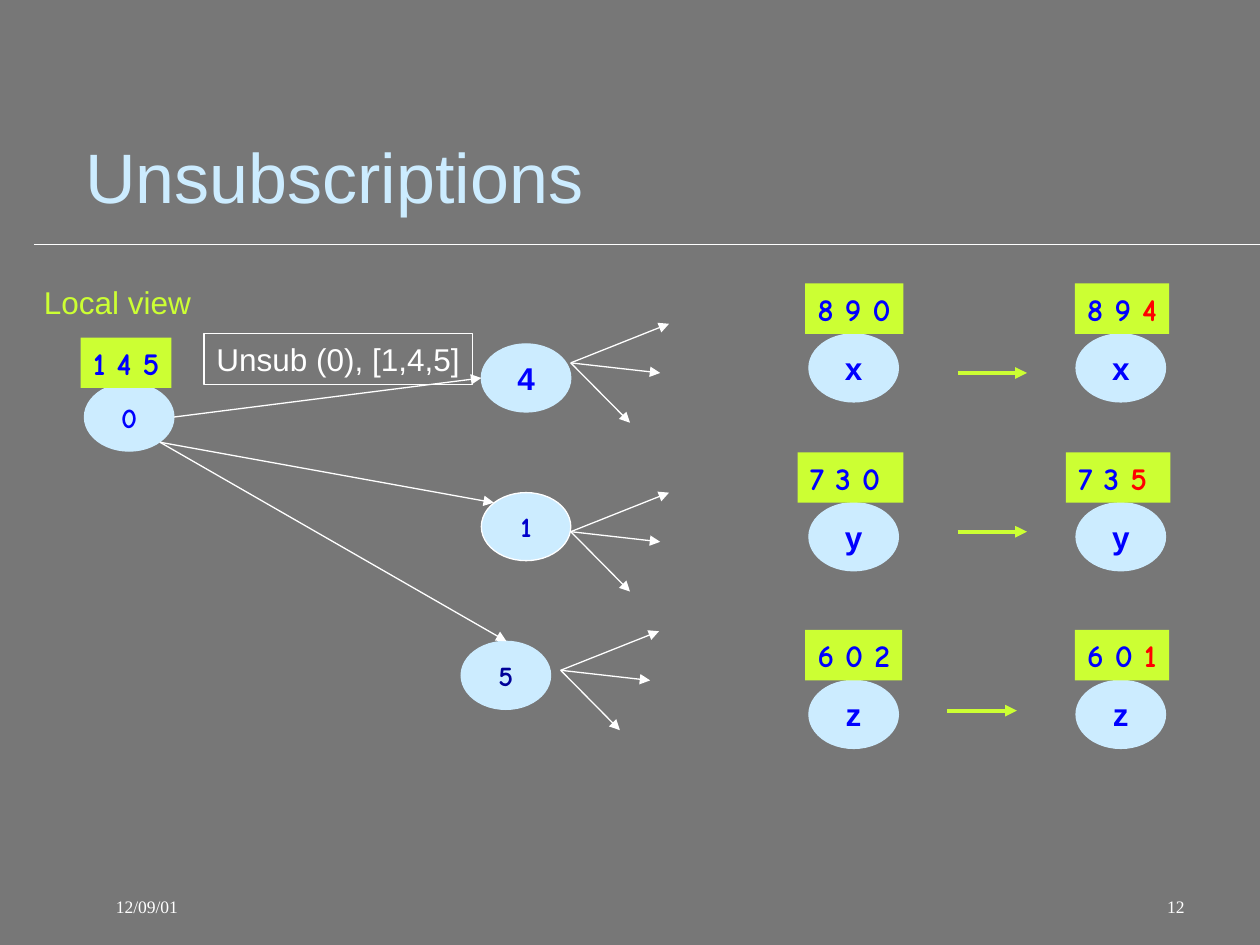
from lxml.etree import SubElement
from pptx import Presentation
from pptx.dml.color import RGBColor
from pptx.enum.shapes import MSO_CONNECTOR as Connector, MSO_SHAPE as Shape
from pptx.enum.text import MSO_ANCHOR as Anchor, PP_ALIGN as Align
from pptx.oxml.ns import qn
from pptx.util import Inches, Pt

hex_color = RGBColor.from_string
WHITE, PALE, LIME, BLUE, RED = "FFFFFF", "CCECFF", "CCFF33", "0000FF", "FF0000"

deck = Presentation()
deck.slide_width, deck.slide_height = Inches(10), Inches(7.5)
column, row = deck.slide_width // 100, deck.slide_height // 75
page = deck.slides.add_slide(deck.slide_layouts[6])
page.background.fill.solid()
page.background.fill.fore_color.rgb = hex_color("777777")


def place(*cells):
    return [round(cell * unit) for cell, unit in zip(cells, (column, row) * 2)]


def write(box, text, accent="", size=18, font="Arial", color=WHITE, bold=False,
          align=Align.LEFT, anchor=Anchor.TOP, spacing=1.0, left=1, right=0):
    frame = box.text_frame
    frame.word_wrap = True
    frame.vertical_anchor = anchor
    frame.margin_left, frame.margin_right = place(left)[0], place(right)[0]
    para = frame.paragraphs[0]
    para.alignment = align
    para.line_spacing = spacing
    for part, shade in ((text, color), (accent, RED)):
        if part:
            span = para.add_run()
            span.text = part
            span.font.name, span.font.size, span.font.bold = font, Pt(size), bold
            span.font.color.rgb = hex_color(shade)


title = page.shapes.add_textbox(*place(5.8, 5.2, 89.2, 12.5))
write(title, "Unsubscriptions", size=40, color=PALE, anchor=Anchor.BOTTOM, spacing=0.8)

nodes = [
    ("0", 6.7, 30.4, "Comic Neue", 16, BLUE, PALE),
    ("1", 38.2, 39.1, "Comic Neue", 16, "0000CC", WHITE),
    ("5", 36.6, 50.9, "Comic Neue", 16, "000099", PALE),
    ("4", 38.2, 27.3, "Arial", 18, BLUE, PALE),
]
views = [("1 4 5", "", 6.4, 26.8, 7.2)]
arrows = [
    ((2.7, 19.4), (100, 19.4), WHITE, 0.75, False),
    ((13.8, 33.1), (38.2, 30), WHITE, 0.75, True),
    ((12.7, 35.1), (39.2, 39.9), WHITE, 0.75, True),
    ((12.7, 35.1), (40.2, 50.9), WHITE, 0.75, True),
]

for x, y in ((45.3, 28.8), (45.3, 42.2), (44.5, 53.2)):
    for dx, dy in ((7.8, -3.1), (7.1, 0.8), (4.7, 4.75)):
        arrows.append(((x, y), (x + dx, y + dy), WHITE, 0.75, True))

members = [
    ("x", 26.5, "8 9 ", "0", "4", (63.9, 7.8), (85.3, 7.5), (76, 29.6)),
    ("y", 39.9, "7 3 ", "0", "5", (63.3, 8.4), (84.6, 8.3), (76, 42.2)),
    ("z", 54, "6 0 ", "2", "1", (63.9, 7.7), (85.3, 7.5), (75.2, 56.4)),
]
for name, top, kept, old, new, before, after, (x, y) in members:
    for left in (64.2, 85.4):
        nodes.append((name, left, top, "Arial", 18, BLUE, PALE))
    views.append((kept + old, "", before[0], top - 4, before[1]))
    views.append((kept, new, after[0], top - 4, after[1]))
    arrows.append(((x, y), (x + 5.5, y), LIME, 2.25, True))

for name, left, top, font, size, color, outline in nodes:
    node = page.shapes.add_shape(Shape.OVAL, *place(left, top, 7.1, 5.4))
    node.shadow.inherit = False
    node.fill.solid()
    node.fill.fore_color.rgb = hex_color(PALE)
    node.line.color.rgb = hex_color(outline)
    node.line.width = Pt(0.75)
    write(node, name, size=size, font=font, color=color, bold=True,
          align=Align.CENTER, anchor=Anchor.MIDDLE, right=1)

for text, accent, left, top, width in views:
    view = page.shapes.add_shape(Shape.RECTANGLE, *place(left, top, width, 4))
    view.shadow.inherit = False
    view.fill.solid()
    view.fill.fore_color.rgb = hex_color(LIME)
    view.line.fill.background()
    write(view, text, accent, font="Comic Neue", color=BLUE, bold=True)

message = page.shapes.add_shape(Shape.RECTANGLE, *place(16.2, 26.5, 21.3, 4))
message.shadow.inherit = False
message.fill.background()
message.line.color.rgb = hex_color(WHITE)
message.line.width = Pt(0.75)
write(message, "Unsub (0), [1,4,5]")
write(page.shapes.add_textbox(*place(2.5, 22, 13.6, 4)), "Local view", color=LIME)

for start, end, color, width, pointed in arrows:
    arrow = page.shapes.add_connector(Connector.STRAIGHT, *place(*start, *end))
    arrow.line.color.rgb = hex_color(color)
    arrow.line.width = Pt(width)
    properties = arrow.element.spPr
    if pointed:
        SubElement(properties.find(qn("a:ln")), qn("a:tailEnd"), type="triangle")
    SubElement(properties, qn("a:effectLst"))

footer = {"size": 10, "font": "Times New Roman", "anchor": Anchor.BOTTOM}
date = page.shapes.add_textbox(*place(5.8, 68.3, 22.5, 5))
write(date, "12/09/01", left=3.4, **footer)
number = page.shapes.add_textbox(*place(74.2, 68.3, 20.8, 5))
write(number, "12", align=Align.RIGHT, right=1, **footer)

deck.save("out.pptx")
